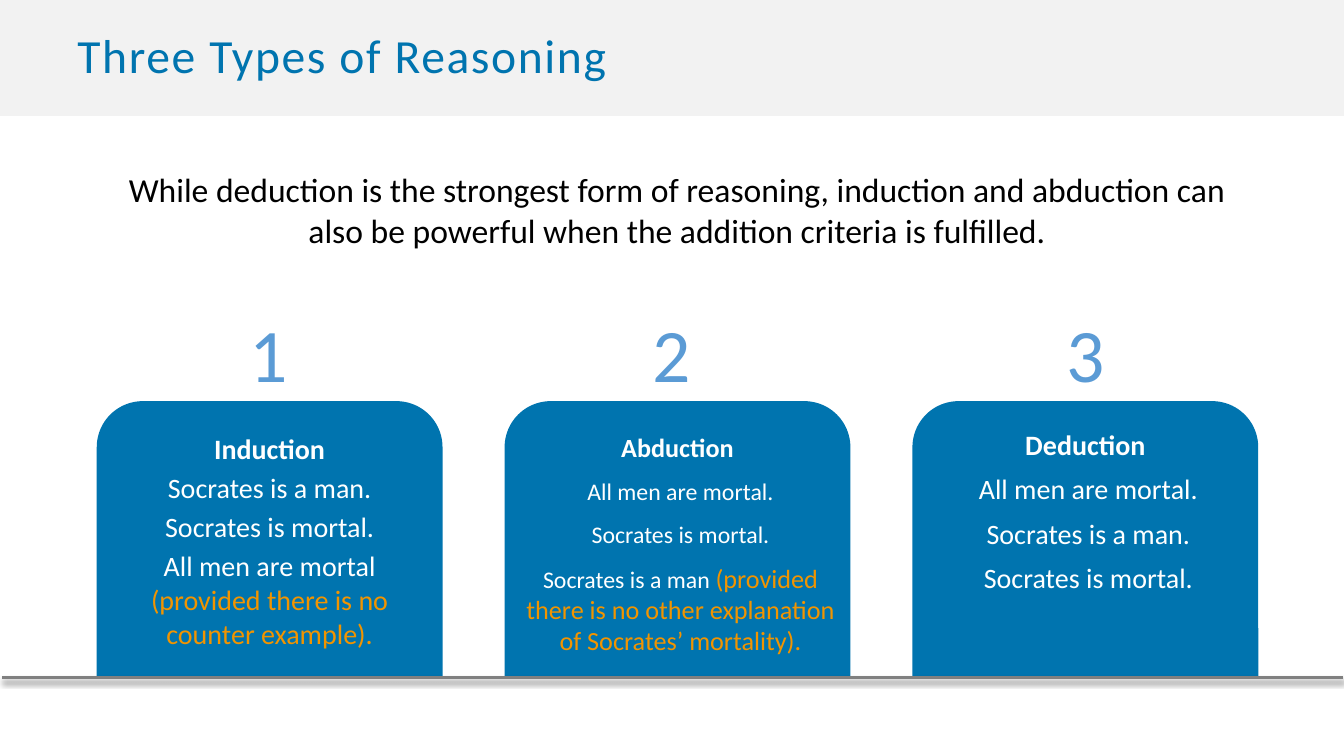
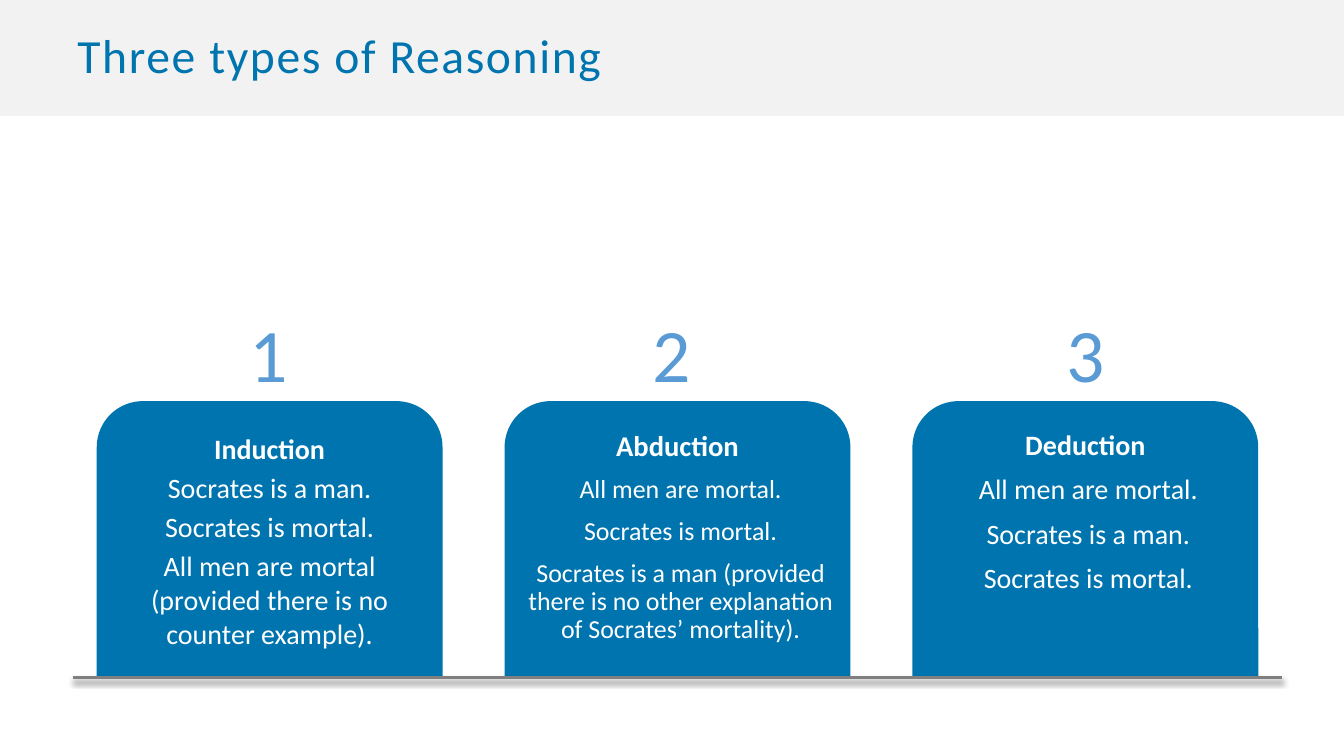
from dataclasses import dataclass

from lxml import etree
from pptx import Presentation
from pptx.dml.color import RGBColor as RGB
from pptx.enum.shapes import MSO_CONNECTOR as Conn, MSO_SHAPE as Shape
from pptx.enum.text import MSO_ANCHOR as Anchor, MSO_AUTO_SIZE as Fit, PP_ALIGN as Align
from pptx.oxml.ns import qn
from pptx.util import Inches, Pt


@dataclass(frozen=True)
class Theme:
    font: str = "Calibri"
    blue: str = "0074AF"
    number: str = "5B9BD5"
    accent: str = "F19400"
    white: str = "FFFFFF"
    black: str = "000000"
    band: str = "F2F2F2"
    rule: str = "808080"
    title_size: float = 34
    intro_size: float = 24
    number_size: float = 54


@dataclass(frozen=True)
class CardStyle:
    head: float = 20
    body: float = 20
    note: float = 20
    gap: float = 10
    line: float = 0.9
    indent: float = 0.06
    note_color: str = Theme.white


@dataclass(frozen=True)
class Card:
    head: str
    lines: tuple
    note: str = ""


CARD_LEFT, CARD_STEP, CARD_WIDTH = 0.96, 4.045, 3.43
CARD_TOP, BASELINE = 3.98, 6.72
NUMBER_LEFTS = (2.37, 6.37, 10.47)

CARDS = (
    Card("Induction",
         ("Socrates is a man.", "Socrates is mortal.", "All men are mortal "),
         "(provided there is no counter example)."),
    Card("Abduction",
         ("All men are mortal.", "Socrates is mortal.", "Socrates is a man "),
         "(provided there is no other explanation of Socrates’ mortality)."),
    Card("Deduction",
         ("All men are mortal.", "Socrates is a man.", "Socrates is mortal.")),
)


class Deck:
    def __init__(self, theme):
        self.theme = theme
        self.prs = Presentation()
        self.prs.slide_width, self.prs.slide_height = Inches(13.33), Inches(7.5)
        self.s = None

    def slide(self, title):
        t = self.theme
        self.s = self.prs.slides.add_slide(self.prs.slide_layouts[6])
        self.shape(Shape.RECTANGLE, 0, 0, 13.33, 1.15, t.band)
        tf = self.box(0.67, 0, 12, 1.15)
        tf.vertical_anchor = Anchor.MIDDLE
        p = self.para(tf, align=Align.LEFT, line=0.9)
        r = self.run(p, title, t.title_size, t.blue)
        r.font._element.set("spc", "120")

    def shape(self, kind, x, y, w, h, color):
        sp = self.s.shapes.add_shape(kind, Inches(x), Inches(y), Inches(w), Inches(h))
        sp.shadow.inherit = False
        sp.fill.solid()
        sp.fill.fore_color.rgb = RGB.from_string(color)
        sp.line.fill.background()

    def box(self, x, y, w, h, wrap=True):
        sp = self.s.shapes.add_textbox(Inches(x), Inches(y), Inches(w), Inches(h))
        tf = sp.text_frame
        tf.word_wrap = wrap
        return tf

    def para(self, tf, align=Align.CENTER, line=1.0, gap=0, indent=0):
        first = not tf.paragraphs[0].runs
        p = tf.paragraphs[0] if first else tf.add_paragraph()
        p.alignment, p.line_spacing = align, line
        p.space_before = Pt(0 if first else gap)
        if indent:
            pPr = p._p.get_or_add_pPr()
            pPr.set("marL", str(Inches(indent)))
            pPr.set("indent", "0")
        return p

    def run(self, p, text, size, color, bold=False):
        r = p.add_run()
        r.text = text
        r.font.name, r.font.size, r.font.bold = self.theme.font, Pt(size), bold
        r.font.color.rgb = RGB.from_string(color)
        return r

    def intro(self, text):
        tf = self.box(0.96, 1.63, 11.51, 0.91)
        tf.auto_size = Fit.SHAPE_TO_FIT_TEXT
        self.run(self.para(tf), text, self.theme.intro_size, self.theme.black)

    def number(self, x, value):
        tf = self.box(x, 3, 0.59, 1.01, wrap=False)
        tf.auto_size = Fit.SHAPE_TO_FIT_TEXT
        self.run(self.para(tf), str(value), self.theme.number_size, self.theme.number)

    def card(self, x, card, style):
        white = self.theme.white
        self.shape(Shape.ROUND_2_SAME_RECTANGLE, x, CARD_TOP,
                   CARD_WIDTH, BASELINE - CARD_TOP, self.theme.blue)
        tf = self.box(x, 4.23, CARD_WIDTH, 2.42)
        self.run(self.para(tf, line=style.line), card.head, style.head, white, bold=True)
        for text in card.lines:
            p = self.para(tf, line=style.line, gap=style.gap, indent=style.indent)
            self.run(p, text, style.body, white)
        if card.note:
            self.run(p, card.note, style.note, style.note_color)

    def cards(self, styles):
        for i, (card, style, x) in enumerate(zip(CARDS, styles, NUMBER_LEFTS)):
            self.card(CARD_LEFT + i * CARD_STEP, card, style)
            self.number(x, i + 1)

    def ground(self, x1, x2):
        y = Inches(BASELINE)
        c = self.s.shapes.add_connector(Conn.STRAIGHT, Inches(x1), y, Inches(x2), y)
        c.line.color.rgb = RGB.from_string(self.theme.rule)
        c.line.width = Pt(2.25)
        effects = etree.SubElement(c._element.spPr, qn("a:effectLst"))
        shadow = etree.SubElement(effects, qn("a:outerShdw"), blurRad=str(Pt(4)),
                                  dist=str(Pt(3)), dir="5400000", rotWithShape="0")
        color = etree.SubElement(shadow, qn("a:srgbClr"), val=self.theme.black)
        etree.SubElement(color, qn("a:alpha"), val="40000")


def main():
    theme = Theme()
    deck = Deck(theme)
    deduction = CardStyle()

    deck.slide("Three Types of Reasoning")
    deck.intro("While deduction is the strongest form of reasoning, induction and abduction "
               "can also be powerful when the addition criteria is fulfilled.")
    deck.cards((
        CardStyle(gap=4, line=1.0, indent=0, note_color=theme.accent),
        CardStyle(head=18.7, body=17, note=18.7, line=1.0, note_color=theme.accent),
        deduction,
    ))
    deck.ground(0.02, 13.32)

    deck.slide("Three types of Reasoning")
    deck.cards((
        CardStyle(gap=4, line=1.0, indent=0),
        CardStyle(head=20.4, body=18.5, note=18.5),
        deduction,
    ))
    deck.ground(0.72, 12.72)

    deck.prs.save("out.pptx")


if __name__ == "__main__":
    main()
